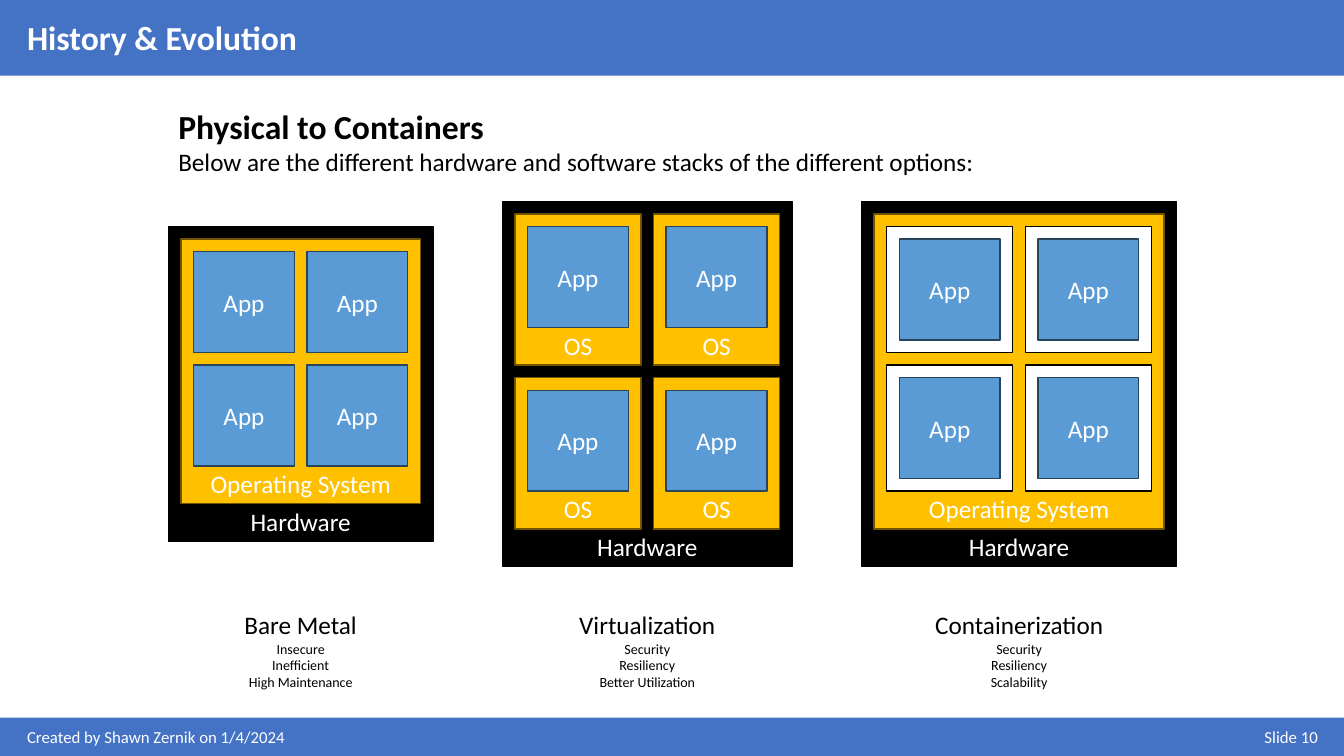
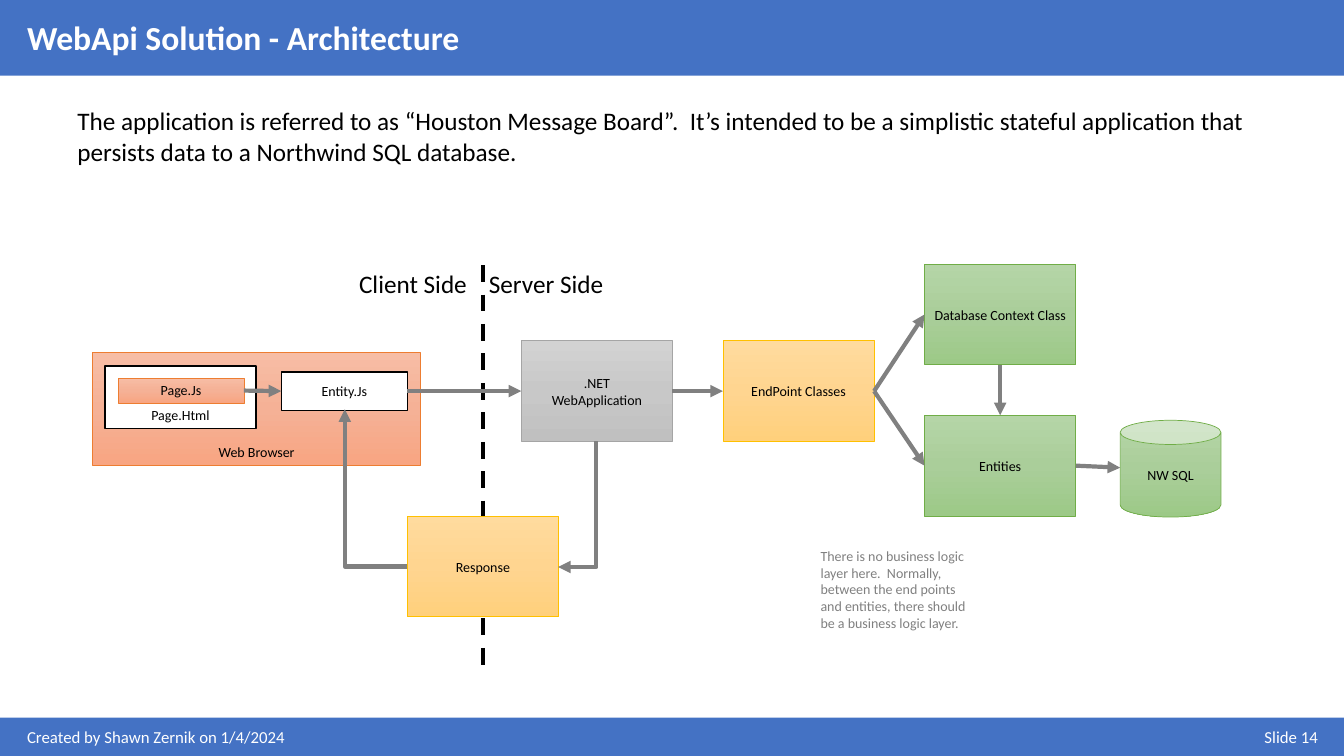
from copy import deepcopy
from dataclasses import dataclass
from typing import Any, NamedTuple, Optional

from lxml import etree
from pptx import Presentation
from pptx.dml.color import RGBColor
from pptx.enum.dml import MSO_LINE
from pptx.enum.shapes import MSO_CONNECTOR, MSO_SHAPE
from pptx.enum.text import MSO_ANCHOR, PP_ALIGN
from pptx.oxml.ns import qn
from pptx.util import Inches, Pt

RECT, CAN = MSO_SHAPE.RECTANGLE, MSO_SHAPE.CAN
STRAIGHT, ELBOW = MSO_CONNECTOR.STRAIGHT, MSO_CONNECTOR.ELBOW
LEFT, CENTER, RIGHT = PP_ALIGN.LEFT, PP_ALIGN.CENTER, PP_ALIGN.RIGHT
TOP, MIDDLE, BOTTOM = MSO_ANCHOR.TOP, MSO_ANCHOR.MIDDLE, MSO_ANCHOR.BOTTOM
DASH = MSO_LINE.DASH
NORTH, WEST, SOUTH, EAST = range(4)

WIDE, HIGH = 13.33, 7.5
FONT = "Calibri"
COLORS = {
    "band": "4472C4", "white": "FFFFFF", "black": "000000", "gray": "808080",
    "gold": "FFC000", "brown": "705400", "blue": "5B9BD5", "navy": "28445D",
    "rose top": "F7BDA5", "rose mid": "F5B196", "rose end": "F8A582", "rose line": "ED7D31",
    "steel top": "D2D2D2", "steel mid": "C8C8C8", "steel end": "C0C0C0", "steel line": "A5A5A5",
    "sand top": "FFDB9E", "sand mid": "FFD590", "sand end": "FFD07C", "sand line": "FFC000",
    "leaf top": "B5D5A7", "leaf mid": "AACE9A", "leaf end": "9CC987", "leaf line": "70AD47",
}
SMALL = {"size": Pt(10)}
NOTE = {"size": Pt(12)}
BODY = {"size": Pt(18)}
HEAD = {"size": Pt(24), "bold": True}


class Style(NamedTuple):
    fills: tuple[str, ...]
    line: str
    width: float
    ink: str
    font: dict[str, Any]


def blend(name: str) -> Style:
    fills = tuple(f"{name} {part}" for part in ("top", "mid", "end"))
    return Style(fills, f"{name} line", 0.5, "black", SMALL)


STYLES = {
    "metal": Style(("black",), "black", 1, "white", BODY),
    "system": Style(("gold",), "brown", 1, "white", BODY),
    "app": Style(("blue",), "navy", 1, "white", BODY),
    "shell": Style(("white",), "black", 1, "black", BODY),
    "page": Style(("white",), "black", 1, "black", SMALL),
    **{name: blend(name) for name in ("rose", "steel", "sand", "leaf")},
}


def tint(color: Any, name: str) -> None:
    color.rgb = RGBColor.from_string(COLORS[name])


def apply(target: Any, values: dict[str, Any]) -> None:
    for name, value in values.items():
        setattr(target, name, value)


def write(frame: Any, lines: tuple[str, ...], font: dict[str, Any], ink: str,
          align: Any = LEFT, head: Optional[dict[str, Any]] = None) -> None:
    """Fill a text frame; head is the format of the first line when it differs."""
    for i, line in enumerate(lines):
        para = frame.paragraphs[0] if i == 0 else frame.add_paragraph()
        para.alignment = align
        run = para.add_run()
        run.text = line
        apply(run.font, {"name": FONT, **(head if head and i == 0 else font)})
        tint(run.font.color, ink)


def label(shapes: Any, x: float, y: float, w: float, h: float, lines: tuple[str, ...],
          font: dict[str, Any], ink: str = "black", align: Any = LEFT,
          head: Optional[dict[str, Any]] = None, wrap: bool = True) -> None:
    box = shapes.add_textbox(Inches(x), Inches(y), Inches(w), Inches(h))
    apply(box.text_frame, {"word_wrap": wrap, "vertical_anchor": TOP})
    write(box.text_frame, lines, font, ink, align, head)


def paint(shape: Any, fills: tuple[str, ...]) -> None:
    """Fill with one colour, or with a three-step blend from top to bottom."""
    fill = shape.fill
    if len(fills) == 1:
        fill.solid()
        tint(fill.fore_color, fills[0])
        return
    fill.gradient()
    fill.gradient_angle = 270
    steps = shape._element.spPr.find(".//" + qn("a:gsLst"))
    steps.insert(1, deepcopy(steps[0]))
    for stop, place, name in zip(fill.gradient_stops, (0, 0.5, 1), fills):
        stop.position = place
        tint(stop.color, name)


def block(shapes: Any, x: float, y: float, w: float, h: float, style: Style,
          lines: tuple[str, ...] = (), anchor: Any = MIDDLE, form: Any = RECT) -> Any:
    shape = shapes.add_shape(form, Inches(x), Inches(y), Inches(w), Inches(h))
    shape.shadow.inherit = False
    paint(shape, style.fills)
    tint(shape.line.color, style.line)
    shape.line.width = Pt(style.width)
    apply(shape.text_frame, {"word_wrap": True, "vertical_anchor": anchor})
    write(shape.text_frame, lines, style.font, style.ink, CENTER)
    return shape


def wire(shapes: Any, x: float, y: float, right: float, low: float, kind: Any = STRAIGHT,
         color: str = "gray", arrow: bool = True) -> Any:
    link = shapes.add_connector(kind, Inches(x), Inches(y), Inches(right), Inches(low))
    tint(link.line.color, color)
    link.line.width = Pt(3)
    if arrow:
        etree.SubElement(link.line._get_or_add_ln(), qn("a:tailEnd"), type="triangle")
    etree.SubElement(link._element.spPr, qn("a:effectLst"))
    return link


def bend(shapes: Any, x: float, y: float, w: float, h: float, turn: int) -> None:
    """Draw a one-corner arrow, turned clockwise by the given degrees."""
    props = wire(shapes, x, y, x + w, y + h, ELBOW)._element.spPr
    props.find(qn("a:prstGeom")).set("prst", "bentConnector2")
    props.find(qn("a:xfrm")).set("rot", str(turn * 60000))


def begin(deck: Any, title: str, page: int) -> Any:
    """Add a slide with the shared bands, title and footer."""
    shapes = deck.slides.add_slide(deck.slide_layouts[6]).shapes
    for y, h in ((0, 0.75), (7.12, 0.38)):
        band = shapes.add_shape(RECT, 0, Inches(y), Inches(WIDE), Inches(h))
        band.shadow.inherit = False
        paint(band, ("band",))
        band.line.fill.background()
    label(shapes, 0.17, 7.16, 6.38, 0.3, ("Created by Shawn Zernik on 1/4/2024",), NOTE, "white")
    label(shapes, 6.67, 7.16, 6.5, 0.3, (f"Slide {page}",), NOTE, "white", RIGHT)
    label(shapes, 0.17, 0.12, 13, 0.5, (title,), HEAD, "white")
    return shapes


GAP = 1 / 8
FOOT = 3 * GAP


@dataclass(frozen=True)
class Layer:
    """A box around a square grid of equal inner layers, with a foot for its name."""
    style: str
    text: str = ""
    kid: Optional["Layer"] = None
    count: int = 1

    def size(self) -> tuple[float, float]:
        if self.kid is None:
            return 1, 1
        w, h = self.kid.size()
        foot = FOOT if self.text else GAP
        return self.count * (w + GAP) + GAP, self.count * (h + GAP) + foot

    def draw(self, shapes: Any, x: float, y: float) -> None:
        lines = (self.text,) if self.text else ()
        block(shapes, x, y, *self.size(), STYLES[self.style], lines,
              BOTTOM if self.kid else MIDDLE)
        if self.kid is None:
            return
        w, h = self.kid.size()
        for row in range(self.count):
            for col in range(self.count):
                self.kid.draw(shapes, x + GAP + col * (w + GAP), y + GAP + row * (h + GAP))


class Stack(NamedTuple):
    layer: Layer
    width: float
    lines: tuple[str, ...]


APP = Layer("app", "App")
STACKS = (
    Stack(Layer("metal", "Hardware", Layer("system", "Operating System", APP, 2)),
          1.33, ("Bare Metal", "Insecure", "Inefficient", "High Maintenance")),
    Stack(Layer("metal", "Hardware", Layer("system", "OS", APP), 2),
          1.57, ("Virtualization", "Security", "Resiliency", "Better Utilization")),
    Stack(Layer("metal", "Hardware",
                Layer("system", "Operating System", Layer("shell", kid=APP), 2)),
          1.89, ("Containerization", "Security", "Resiliency", "Scalability")),
)


def history(deck: Any) -> None:
    shapes = begin(deck, "History & Evolution", 10)
    x, span, middle = 1.67, 10, 3.81
    label(shapes, x, 1, span, 0.81,
          ("Physical to Containers",
           "Below are the different hardware and software stacks of the different options:"),
          BODY, head=HEAD)
    room = span - sum(stack.layer.size()[0] for stack in STACKS)
    for layer, width, lines in STACKS:
        w, h = layer.size()
        layer.draw(shapes.add_group_shape().shapes, x, middle - h / 2)
        label(shapes, x + (w - width) / 2, 6, width, 0.91, lines, SMALL,
              align=CENTER, head=BODY, wrap=False)
        x += w + room / (len(STACKS) - 1)


class Node(NamedTuple):
    key: str
    x: float
    y: float
    lines: tuple[str, ...]
    style: str
    w: float = 1.5
    h: float = 1
    anchor: Any = MIDDLE
    form: Any = RECT


LANES = [5.17 + 2 * i for i in range(3)]
NODES = (
    Node("web", 0.92, 3.5, ("Web Browser",), "rose", 3.25, 1.12, BOTTOM),
    Node("net", LANES[0], 3.38, (".NET", "WebApplication"), "steel"),
    Node("point", LANES[1], 3.38, ("EndPoint Classes",), "sand"),
    Node("base", LANES[2], 2.62, ("Database Context Class",), "leaf"),
    Node("data", LANES[2], 4.12, ("Entities",), "leaf"),
    Node("store", 11.11, 4.17, ("NW SQL",), "leaf", 1, 0.96, form=CAN),
    Node("reply", 4.04, 5.12, ("Response",), "sand"),
    Node("html", 1.04, 3.63, ("Page.Html",), "page", 1.5, 0.62, BOTTOM),
    Node("script", 1.17, 3.75, ("Page.Js",), "rose", 1.25, 0.25, BOTTOM),
    Node("model", 2.79, 3.69, ("Entity.Js",), "page", 1.25, 0.38),
)
LINKS = (
    ("net", EAST, "point", WEST),
    ("point", EAST, "base", WEST),
    ("base", SOUTH, "data", NORTH),
    ("point", EAST, "data", WEST),
    ("script", EAST, "model", WEST),
    ("model", EAST, "net", WEST),
)


def design(deck: Any) -> None:
    shapes = begin(deck, "WebApi Solution - Architecture", 14)
    label(shapes, 0.67, 1, 12, 0.71,
          ("The application is referred to as “Houston Message Board”.  It’s intended to be a "
           "simplistic stateful application that persists data to a Northwind SQL database.",),
          BODY)
    split = wire(shapes, 4.79, 2.63, 4.79, 6.63, color="black", arrow=False)
    split.line.dash_style = DASH
    label(shapes, 3.36, 2.61, 1.37, 0.4, ("Client Side",), BODY, align=RIGHT, wrap=False)
    label(shapes, 4.75, 2.61, 1.37, 0.4, ("Server Side",), BODY, wrap=False)
    label(shapes, 8.04, 5.38, 1.75, 0.94,
          ("There is no business logic layer here.  Normally, between the end points and "
           "entities, there should be a business logic layer.",), SMALL, "gray")

    drawn = {node.key: block(shapes, node.x, node.y, node.w, node.h, STYLES[node.style],
                             node.lines, node.anchor, node.form) for node in NODES}
    for start, side, goal, end in LINKS:
        link = wire(shapes, 0, 0, 0, 0)
        link.begin_connect(drawn[start], side)
        link.end_connect(drawn[goal], end)
    wire(shapes, 10.67, 4.62, 11.11, 4.64).begin_connect(drawn["data"], EAST)
    bend(shapes, 5.1, 4.81, 1.25, 0.38, 90)
    bend(shapes, 3.42, 4.06, 0.62, 1.56, 180)


def main() -> None:
    deck = Presentation()
    deck.slide_width, deck.slide_height = Inches(WIDE), Inches(HIGH)
    history(deck)
    design(deck)
    deck.save("out.pptx")


if __name__ == "__main__":
    main()
